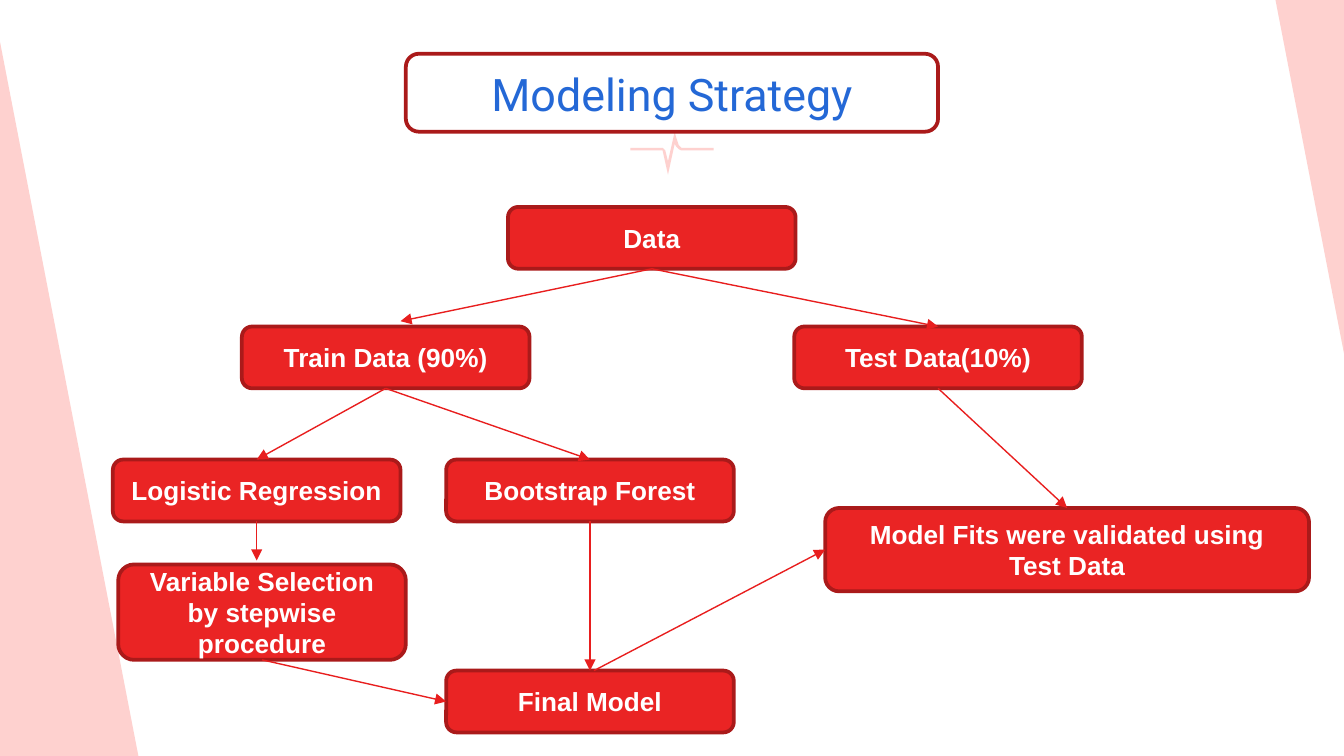
"""Build the Modeling Strategy flow chart slide."""
import pptx
import pptx.util
import pptx.dml.color
import pptx.enum.shapes
import pptx.enum.text
import pptx.oxml.ns
import lxml.etree

WIDTH = 10
HEIGHT = WIDTH * 9 / 16
COLORS = {"title": "2468D6", "box": "EA2424", "border": "AA1A1A",
          "arrow": "E81E1E", "decor": "FED1CF", "label": "FFFFFF"}

TITLE = "Modeling Strategy"
TITLE_TOP = 0.4
FRAME_SIZE = (3.96, 0.58)

COLUMNS = {"logistic": 0.84, "variable": 0.88, "train": 1.8, "middle": 3.32,
           "data": 3.78, "test": 5.91, "validation": 6.14}
ROWS = {"data": 1.54, "split": 2.43, "model": 3.42, "validation": 3.78,
        "selection": 4.2, "final": 4.99}
STEP_WIDTH, STEP_HEIGHT = 2.14, 0.46

STEPS = {
    "data": ("Data", "data", "data", STEP_WIDTH, STEP_HEIGHT),
    "train": ("Train Data (90%)", "train", "split", STEP_WIDTH, STEP_HEIGHT),
    "test": ("Test Data(10%)", "test", "split", STEP_WIDTH, STEP_HEIGHT),
    "forest": ("Bootstrap Forest", "middle", "model", STEP_WIDTH, STEP_HEIGHT),
    "logistic": ("Logistic Regression", "logistic", "model", STEP_WIDTH, STEP_HEIGHT),
    "validation": ("Model Fits were validated using Test Data",
                   "validation", "validation", 3.6, 0.62),
    "variable": ("Variable Selection by stepwise procedure",
                 "variable", "selection", STEP_WIDTH, 0.71),
    "final": ("Final Model", "middle", "final", STEP_WIDTH, STEP_HEIGHT),
}
SIDES = {"top": (0.5, 0), "bottom": (0.5, 1), "left": (0, 0.5)}
FLOWS = [
    (("data", "bottom"), ("train", "top", 0.11, -0.04)),
    (("data", "bottom"), ("test", "top")),
    (("train", "bottom"), ("logistic", "top")),
    (("train", "bottom"), ("forest", "top")),
    (("logistic", "bottom"), ("variable", "top", -0.04, -0.03)),
    (("variable", "bottom"), ("final", "left")),
    (("forest", "bottom"), ("final", "top")),
    (("final", "top", 0.03, 0), ("validation", "left")),
    (("test", "bottom"), ("validation", "top")),
]
DECOR = [
    [(5.02, 0.98), (4.97, 1.2), (4.95, 1.12), (4.93, 1.1), (4.69, 1.1),
     (4.69, 1.12), (4.93, 1.12), (4.97, 1.3), (5.02, 1.07), (5.03, 1.09),
     (5.05, 1.11), (5.07, 1.12), (5.31, 1.12), (5.31, 1.1), (5.07, 1.1),
     (5.05, 1.08), (5.03, 1.02)],
    [(0, 0.31), (0, HEIGHT), (1.03, HEIGHT)],
    [(WIDTH, 2.63), (WIDTH, 0), (9.49, 0)],
]

inch = pptx.util.Inches


def color(role):
    return pptx.dml.color.RGBColor.from_string(COLORS[role])


def write(frame, text, font, size, role, bold=False):
    frame.word_wrap = True
    frame.text = text
    line = frame.paragraphs[0]
    line.alignment = pptx.enum.text.PP_ALIGN.CENTER
    style = line.runs[0].font
    style.name, style.size, style.bold = font, pptx.util.Pt(size), bold
    style.color.rgb = color(role)


def add_outlined(slide, left, top, width, height):
    outlined = slide.shapes.add_shape(
        pptx.enum.shapes.MSO_SHAPE.ROUNDED_RECTANGLE,
        *map(inch, (left, top, width, height)))
    outlined.shadow.inherit = False
    outlined.fill.background()
    outlined.line.color.rgb = color("border")
    outlined.line.width = pptx.util.Pt(2)
    return outlined


def add_decor(slide, points):
    corners = [(inch(x), inch(y)) for x, y in points]
    builder = slide.shapes.build_freeform(*corners[0])
    builder.add_line_segments(corners[1:], close=True)
    decor = builder.convert_to_shape()
    decor.shadow.inherit = False
    decor.fill.solid()
    decor.fill.fore_color.rgb = color("decor")
    decor.line.fill.background()


def add_title(slide):
    heading = slide.shapes.add_textbox(0, inch(TITLE_TOP), inch(WIDTH), inch(0.46))
    frame = heading.text_frame
    frame.margin_top = frame.margin_bottom = inch(0.1)
    write(frame, TITLE, "Roboto", 24, "title")
    width, height = FRAME_SIZE
    add_outlined(slide, (WIDTH - width) / 2, TITLE_TOP, width, height)


def add_step(slide, text, column, row, width, height):
    step = add_outlined(slide, COLUMNS[column], ROWS[row], width, height)
    step.fill.solid()
    step.fill.fore_color.rgb = color("box")
    step.text_frame.vertical_anchor = pptx.enum.text.MSO_ANCHOR.MIDDLE
    write(step.text_frame, text, "Arial", 14, "label", bold=True)


def anchor(step, side, shift_x=0, shift_y=0):
    _, column, row, width, height = STEPS[step]
    share_x, share_y = SIDES[side]
    return (inch(COLUMNS[column] + share_x * width + shift_x),
            inch(ROWS[row] + share_y * height + shift_y))


def add_flow(slide, start, end):
    flow = slide.shapes.add_connector(
        pptx.enum.shapes.MSO_CONNECTOR.STRAIGHT, *anchor(*start), *anchor(*end))
    flow.line.color.rgb = color("arrow")
    flow.line.width = pptx.util.Pt(0.75)
    qn = pptx.oxml.ns.qn
    properties = flow.element.spPr
    lxml.etree.SubElement(properties.find(qn("a:ln")), qn("a:tailEnd"), type="triangle")
    lxml.etree.SubElement(properties, qn("a:effectLst"))


def main():
    deck = pptx.Presentation()
    deck.slide_width, deck.slide_height = inch(WIDTH), inch(HEIGHT)
    slide = deck.slides.add_slide(deck.slide_layouts[6])
    for points in DECOR:
        add_decor(slide, points)
    add_title(slide)
    for step in STEPS.values():
        add_step(slide, *step)
    for start, end in FLOWS:
        add_flow(slide, start, end)
    deck.save("out.pptx")


if __name__ == "__main__":
    main()
